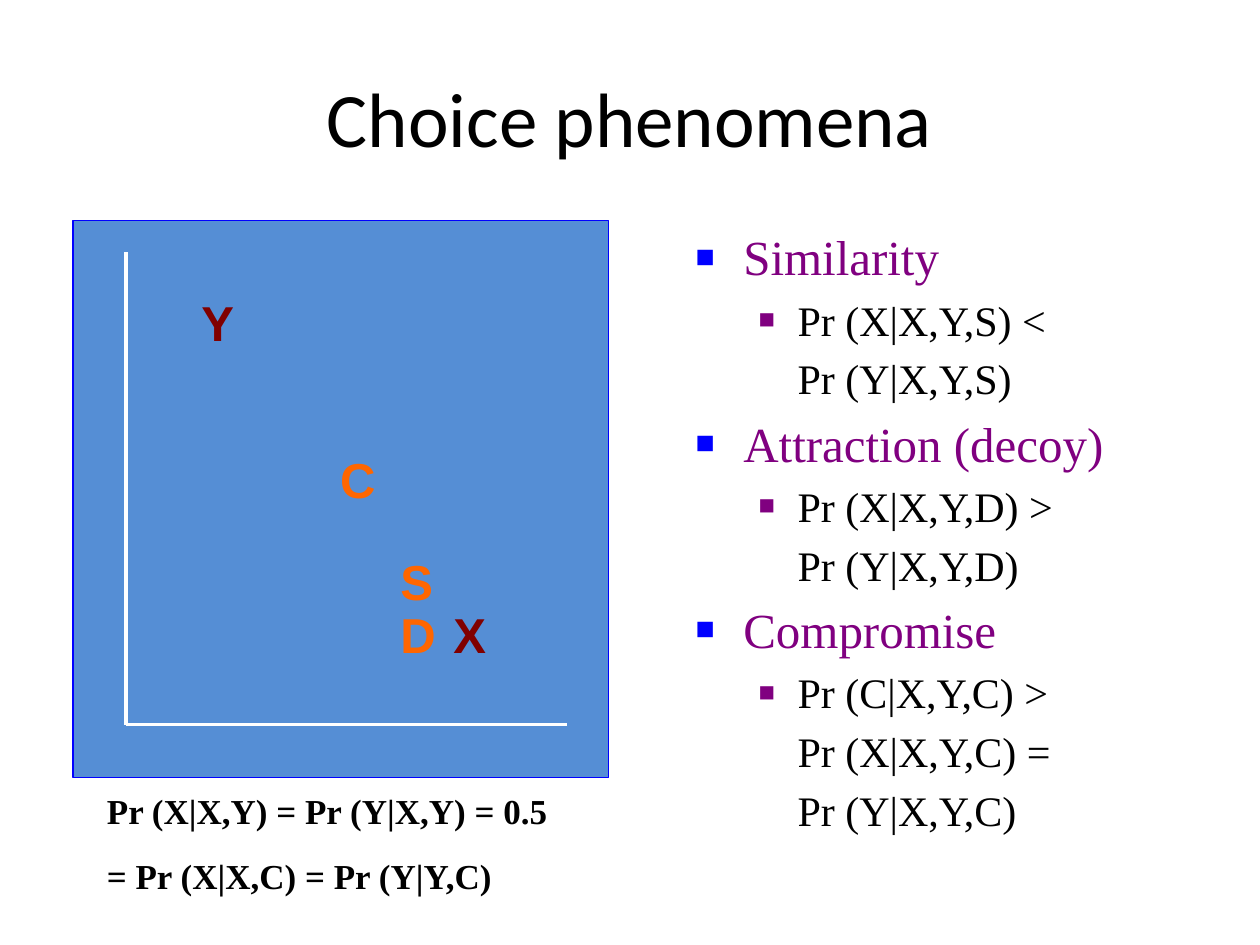
from pptx import Presentation
from pptx.dml.color import RGBColor
from pptx.enum.shapes import MSO_CONNECTOR as CONN, MSO_SHAPE as SHAPE
from pptx.enum.text import MSO_ANCHOR as ANCHOR, MSO_AUTO_SIZE as AUTO, PP_ALIGN as ALIGN
from pptx.oxml.ns import qn
from pptx.util import Inches, Pt
from lxml.etree import SubElement

BLACK = RGBColor(0x00, 0x00, 0x00)
WHITE = RGBColor(0xFF, 0xFF, 0xFF)
BLUE = RGBColor(0x00, 0x00, 0xFF)
PANEL = RGBColor(0x55, 0x8E, 0xD5)
PURPLE = RGBColor(0x80, 0x00, 0x80)
MAROON = RGBColor(0x80, 0x00, 0x00)
ORANGE = RGBColor(0xFF, 0x66, 0x00)
SERIF = "Times New Roman"

PHENOMENA = [
    ("Similarity", ["Pr (X|X,Y,S) <", "Pr (Y|X,Y,S)"]),
    ("Attraction (decoy)", ["Pr (X|X,Y,D) >", "Pr (Y|X,Y,D)"]),
    ("Compromise", ["Pr (C|X,Y,C) >", "Pr (X|X,Y,C) =", "Pr (Y|X,Y,C)"]),
]
# Option, left and top within the panel, width, colour
OPTIONS = [
    ("Y", 0.92, 0.52, 0.46, MAROON),
    ("X", 2.92, 3.0, 0.46, MAROON),
    ("C", 2.02, 1.77, 0.48, ORANGE),
    ("S", 2.5, 2.58, 0.46, ORANGE),
    ("D", 2.5, 3.0, 0.48, ORANGE),
]
EQUATIONS = [("Pr (X|X,Y) = Pr (Y|X,Y) = 0.5", 3.88), ("= Pr (X|X,C) = Pr (Y|Y,C)", 3.42)]


def place(sp, x, y, w, h):
    sp.left, sp.top, sp.width, sp.height = (Inches(v) for v in (x, y, w, h))


def add_run(p, text, font, size, color, bold=False):
    r = p.add_run()
    r.text = text
    r.font.name, r.font.size, r.font.bold = font, Pt(size), bold
    r.font.color.rgb = color


def add_label(shapes, x, y, w, h, text, font, size, color):
    sp = shapes.add_textbox(*(Inches(v) for v in (x, y, w, h)))
    tf = sp.text_frame
    tf.word_wrap = False
    tf.auto_size = AUTO.SHAPE_TO_FIT_TEXT
    add_run(tf.paragraphs[0], text, font, size, color, bold=True)


def set_bullet(p, margin, hanging, color=None):
    """Indent a paragraph; with a colour it gets a square bullet, else none."""
    pPr = p._p.get_or_add_pPr()
    pPr.set("marL", str(Inches(margin)))
    pPr.set("indent", str(-Inches(hanging) if color else 0))
    if color is None:
        SubElement(pPr, qn("a:buNone"))
        return
    clr = SubElement(pPr, qn("a:buClr"))
    SubElement(clr, qn("a:srgbClr")).set("val", str(color))
    SubElement(pPr, qn("a:buSzPct")).set("val", "65000")
    SubElement(pPr, qn("a:buChar")).set("char", "■")


def add_title(s, x, y, w, h):
    sp = s.shapes.title
    place(sp, x, y, w, h)
    tf = sp.text_frame
    tf.vertical_anchor = ANCHOR.MIDDLE
    p = tf.paragraphs[0]
    p.alignment = ALIGN.CENTER
    add_run(p, "Choice phenomena", "Calibri", 44, BLACK)


def add_phenomena(s, x, y, w, h):
    sp = s.placeholders[1]
    place(sp, x, y, w, h)
    tf = sp.text_frame
    tf.auto_size = AUTO.NONE
    for i, (name, relations) in enumerate(PHENOMENA):
        p = tf.add_paragraph() if i else tf.paragraphs[0]
        set_bullet(p, 0.38, 0.38, BLUE)
        add_run(p, name, SERIF, 28, PURPLE)
        for j, relation in enumerate(relations):
            p = tf.add_paragraph()
            p.level = 1
            # Only the first line of a relation has a bullet
            set_bullet(p, 0.81, 0.31, None if j else PURPLE)
            add_run(p, relation, SERIF, 24, BLACK)


def add_plot(s, x, y, w, h):
    shapes = s.shapes.add_group_shape().shapes
    # Panel
    sp = shapes.add_shape(SHAPE.RECTANGLE, *(Inches(v) for v in (x, y, w, h)))
    sp.shadow.inherit = False
    sp.fill.solid()
    sp.fill.fore_color.rgb = PANEL
    sp.line.color.rgb = BLUE
    sp.line.width = Pt(1)
    # Axes meet at the lower left
    ox, oy = x + 0.42, y + 4
    for start, end in [((ox, y + 0.25), (ox, oy)), ((ox, oy), (ox + 3.5, oy))]:
        axis = shapes.add_connector(CONN.STRAIGHT, *(Inches(v) for v in start + end))
        axis.line.color.rgb = WHITE
        axis.line.width = Pt(2)
        SubElement(axis._element.spPr, qn("a:effectLst"))
    # Options
    for text, dx, dy, width, color in OPTIONS:
        add_label(shapes, x + dx, y + dy, width, 0.57, text, "Arial", 28, color)


def add_equations(s, x, y, h, step):
    for i, (text, w) in enumerate(EQUATIONS):
        add_label(s.shapes, x, y + i * step, w, h, text, SERIF, 20, BLACK)


def main():
    prs = Presentation()
    prs.slide_width, prs.slide_height = Inches(10), Inches(7.5)
    s = prs.slides.add_slide(prs.slide_layouts[1])
    add_title(s, 0.5, 0.3, 9, 1.25)
    add_phenomena(s, 5.42, 1.75, 3.75, 5.5)
    add_plot(s, 0.58, 1.75, 4.25, 4.42)
    add_equations(s, 0.75, 6.22, 0.43, 0.51)
    prs.save("out.pptx")


if __name__ == "__main__":
    main()
